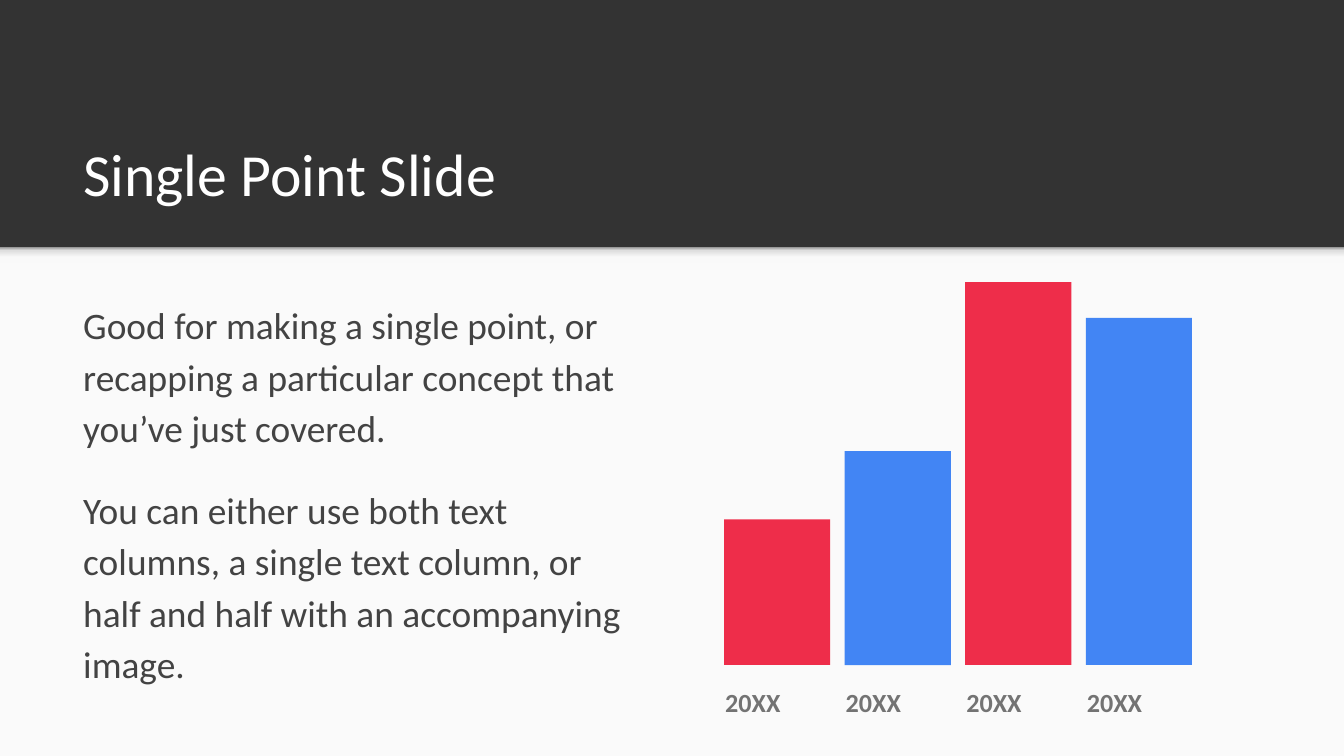
"""Build a single point slide with a text column and a simple bar graphic."""
from copy import deepcopy

from lxml.etree import SubElement
from pptx import Presentation
from pptx.dml.color import RGBColor
from pptx.enum.shapes import MSO_SHAPE as Shape
from pptx.enum.text import MSO_ANCHOR as Anchor, MSO_AUTO_SIZE as AutoSize, PP_ALIGN as Align
from pptx.oxml.ns import qn
from pptx.util import Pt

THEME = {
    "font": "Calibri",
    "header": "333333",
    "panel": "FAFAFA",
    "shadow": [(0, "F9F9F9"), (0.36, "F9F9F9"), (0.8, "DEDEDE"), (1, "999999")],
    "bars": ["EE2D4A", "4285F4"],
    "title": {"size": 32, "color": "FFFFFF", "bold": False},
    "body": {"size": 20, "color": "434343", "bold": False},
    "label": {"size": 14, "color": "737373", "bold": True},
}
NO_GRID_STYLE = "{2D5ABB26-0587-4C30-8999-92F81FD0307C}"


def add_rectangle(slide, box, color):
    shape = slide.shapes.add_shape(Shape.RECTANGLE, *map(Pt, box))
    shape.shadow.inherit = False
    shape.line.fill.background()
    shape.fill.solid()
    shape.fill.fore_color.rgb = RGBColor.from_string(color)
    return shape


def write_text(frame, texts, style, **paragraph_format):
    for index, text in enumerate(texts):
        paragraph = frame.add_paragraph() if index else frame.paragraphs[0]
        paragraph.alignment = Align.LEFT
        for name, value in paragraph_format.items():
            setattr(paragraph, name, value)
        run = paragraph.add_run()
        run.text = text
        font_format = {"name": THEME["font"], "size": Pt(style["size"]), "bold": style["bold"]}
        for name, value in font_format.items():
            setattr(run.font, name, value)
        run.font.color.rgb = RGBColor.from_string(style["color"])


presentation = Presentation()
presentation.slide_width, presentation.slide_height = Pt(720), Pt(405)
slide = presentation.slides.add_slide(presentation.slide_layouts[1])
slide.background.fill.solid()
slide.background.fill.fore_color.rgb = RGBColor.from_string(THEME["header"])

panel = add_rectangle(slide, (0, 132.5, 720, 272.5), THEME["panel"])
header_shadow = add_rectangle(slide, (0, 132.5, 720, 8.6), THEME["panel"])
header_shadow.fill.gradient()
header_shadow.fill.gradient_angle = 90
stop_list = header_shadow.fill.gradient_stops[0]._gs.getparent()
for _ in range(2):
    stop_list.append(deepcopy(stop_list[0]))
for stop, (position, color) in zip(header_shadow.fill.gradient_stops, THEME["shadow"]):
    stop.position = position
    stop.color.rgb = RGBColor.from_string(color)

title, body = slide.shapes.title, slide.placeholders[1]
for placeholder, box, anchor in [
    (title, (37.4, 58.3, 647, 60.5), Anchor.BOTTOM),
    (body, (37.4, 151.2, 314.6, 213), Anchor.TOP),
]:
    for name, value in zip(("left", "top", "width", "height"), box):
        setattr(placeholder, name, Pt(value))
    frame_format = {"vertical_anchor": anchor, "word_wrap": True, "auto_size": AutoSize.NONE}
    frame_format |= {f"margin_{side}": Pt(7.2) for side in ("left", "top", "right", "bottom")}
    for name, value in frame_format.items():
        setattr(placeholder.text_frame, name, value)
    slide.shapes._spTree.append(placeholder._element)

write_text(title.text_frame, ["Single Point Slide"], THEME["title"])
write_text(
    body.text_frame,
    [
        "Good for making a single point, or recapping a particular concept that you’ve just covered.",
        "You can either use both text columns, a single text column, or half and half with an accompanying image.",
    ],
    THEME["body"],
    line_spacing=1.15,
    space_before=Pt(0),
    space_after=Pt(16),
)
for paragraph in body.text_frame.paragraphs:
    properties = paragraph._p.get_or_add_pPr()
    properties.set("marL", "0")
    properties.set("indent", "0")
    SubElement(properties, qn("a:buNone"))

bar_heights = [78, 114.6, 205.2, 185.9]
pitch, bar_width, baseline = 64.6, 56.9, 356.3
table_frame = slide.shapes.add_table(
    1, len(bar_heights), Pt(381.3), Pt(358.6), Pt(pitch * len(bar_heights)), Pt(33.8)
)
table = table_frame.table
table.first_row = table.horz_banding = False
table._tbl.tblPr.find(qn("a:tableStyleId")).text = NO_GRID_STYLE
for cell in table.rows[0].cells:
    cell.fill.background()
    for side in ("left", "top", "right", "bottom"):
        setattr(cell, f"margin_{side}", Pt(7.2))
    write_text(cell.text_frame, ["20XX"], THEME["label"], line_spacing=1.15)

for index, height in enumerate(bar_heights):
    bar_box = (387.9 + index * pitch, baseline - height, bar_width, height)
    add_rectangle(slide, bar_box, THEME["bars"][index % 2])

presentation.save("out.pptx")
